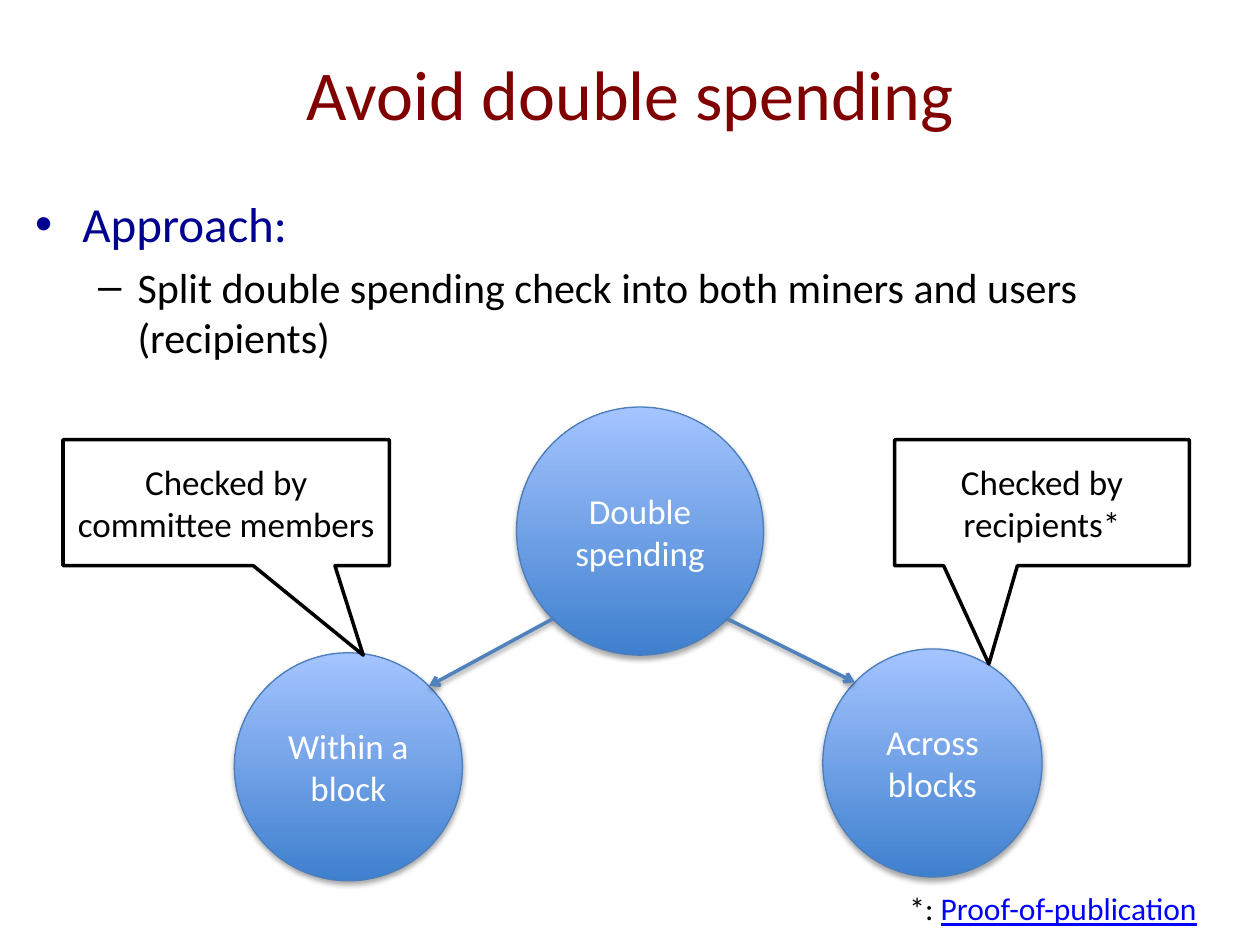
from dataclasses import dataclass
from math import sqrt

from lxml.etree import SubElement
from pptx import Presentation
from pptx.dml.color import RGBColor
from pptx.enum.shapes import MSO_CONNECTOR, MSO_SHAPE
from pptx.enum.text import MSO_ANCHOR, PP_ALIGN
from pptx.oxml.ns import qn
from pptx.util import Pt


@dataclass(frozen=True)
class Theme:
    font: str = "Calibri"
    title_color: str = "800000"
    heading_color: str = "000090"
    ink: str = "000000"
    paper: str = "FFFFFF"
    link: str = "0000FF"
    circle_dark: str = "3F80CE"
    circle_light: str = "A4C4FF"
    circle_line: str = "4B7EBC"
    arrow: str = "4F81BD"
    title_size: float = 40
    heading_size: float = 28
    body_size: float = 24
    label_size: float = 20
    note_size: float = 18


class SlideBuilder:
    def __init__(self, slide, theme):
        self.slide = slide
        self.theme = theme

    def format_font(self, run, size, color, **extra):
        values = {"name": self.theme.font, "size": Pt(size), **extra}
        for name, value in values.items():
            setattr(run.font, name, value)
        run.font.color.rgb = RGBColor.from_string(color)

    def add_text(self, paragraph, text, size, color, **extra):
        run = paragraph.add_run()
        run.text = text
        self.format_font(run, size, color, **extra)

    def place(self, shape, box):
        for name, value in zip(("left", "top", "width", "height"), box):
            setattr(shape, name, Pt(value))

    def add_shadow(self, effects, opacity, distance):
        shadow = SubElement(effects, qn("a:outerShdw"), blurRad=str(Pt(3.1)),
                            dist=str(Pt(distance)), dir="5400000", rotWithShape="0")
        color = SubElement(shadow, qn("a:srgbClr"), val=self.theme.ink)
        SubElement(color, qn("a:alpha"), val=str(opacity * 1000))

    def title(self, text, box):
        shape = self.slide.shapes.title
        self.place(shape, box)
        frame = shape.text_frame
        frame.vertical_anchor = MSO_ANCHOR.MIDDLE
        paragraph = frame.paragraphs[0]
        paragraph.alignment = PP_ALIGN.CENTER
        self.add_text(paragraph, text, self.theme.title_size, self.theme.title_color)

    def text_box(self, box):
        frame = self.slide.shapes.add_textbox(*map(Pt, box)).text_frame
        frame.word_wrap = True
        return frame

    def bullets(self, items, box):
        frame = self.text_box(box)
        for index, (text, level, mark, margin, hang, size, color) in enumerate(items):
            paragraph = frame.add_paragraph() if index else frame.paragraphs[0]
            paragraph.level = level
            paragraph.space_before = Pt(0.2 * size)
            properties = paragraph._p.get_or_add_pPr()
            properties.set("marL", str(Pt(margin)))
            properties.set("indent", str(Pt(-hang)))
            SubElement(properties, qn("a:buFont"), typeface="Arial")
            SubElement(properties, qn("a:buChar"), char=mark)
            self.add_text(paragraph, text, size, color)

    def labelled_shape(self, kind, text, box, color, line_color, line_width):
        shape = self.slide.shapes.add_shape(kind, *map(Pt, box))
        shape.shadow.inherit = False
        shape.line.color.rgb = RGBColor.from_string(line_color)
        shape.line.width = Pt(line_width)
        frame = shape.text_frame
        frame.word_wrap = True
        frame.vertical_anchor = MSO_ANCHOR.MIDDLE
        paragraph = frame.paragraphs[0]
        paragraph.alignment = PP_ALIGN.CENTER
        self.add_text(paragraph, text, self.theme.label_size, color)
        return shape

    def circle(self, text, box):
        theme = self.theme
        shape = self.labelled_shape(MSO_SHAPE.OVAL, text, box, theme.paper,
                                    theme.circle_line, 0.75)
        shape.fill.gradient()
        shape.fill.gradient_angle = 90
        for stop, color in zip(shape.fill.gradient_stops,
                               (theme.circle_dark, theme.circle_light)):
            stop.color.rgb = RGBColor.from_string(color)
        self.add_shadow(shape._element.spPr.find(qn("a:effectLst")), 35, 1.8)

    def callout(self, text, box, tip):
        theme = self.theme
        shape = self.labelled_shape(MSO_SHAPE.RECTANGULAR_CALLOUT, text, box,
                                    theme.ink, theme.ink, 2)
        shape.fill.solid()
        shape.fill.fore_color.rgb = RGBColor.from_string(theme.paper)
        for index, value in enumerate(tip):
            shape.adjustments[index] = value

    def arrow(self, start, end):
        connector = self.slide.shapes.add_connector(
            MSO_CONNECTOR.STRAIGHT, *map(Pt, (*start, *end)))
        connector.line.color.rgb = RGBColor.from_string(self.theme.arrow)
        connector.line.width = Pt(2)
        properties = connector._element.spPr
        SubElement(properties.find(qn("a:ln")), qn("a:tailEnd"), type="arrow")
        self.add_shadow(SubElement(properties, qn("a:effectLst")), 38, 1.6)

    def footnote(self, mark, link_text, box):
        theme = self.theme
        paragraph = self.text_box(box).paragraphs[0]
        self.add_text(paragraph, mark, theme.note_size, theme.ink)
        self.add_text(paragraph, link_text, theme.note_size, theme.link, underline=True)


def diagonal_point(box, across, down):
    """Point on an ellipse at 45 degrees; across and down are -1 or 1."""
    left, top, width, height = box
    reach = sqrt(0.5)
    return (left + width / 2 * (1 + across * reach),
            top + height / 2 * (1 + down * reach))


def main():
    presentation = Presentation()
    presentation.slide_width, presentation.slide_height = Pt(720), Pt(540)
    slide = presentation.slides.add_slide(presentation.slide_layouts[5])
    theme = Theme()
    builder = SlideBuilder(slide, theme)

    # Title and approach
    builder.title("Avoid double spending", (36, 21.6, 648, 62))
    builder.bullets([
        ("Approach:", 0, "•", 27, 27, theme.heading_size, theme.heading_color),
        ("Split double spending check into both miners and users (recipients)",
         1, "–", 58.5, 22.5, theme.body_size, theme.ink),
    ], (13, 107.3, 693.4, 375))

    # Problem and its two halves
    problem = (295.2, 232.6, 141.1, 141.8)
    across_blocks = (470.2, 370.8, 125.3, 130.3)
    within_block = (133.9, 373, 130.3, 130.3)
    builder.circle("Double spending", problem)
    builder.circle("Across blocks", across_blocks)
    builder.circle("Within a block", within_block)
    for target, side in ((within_block, -1), (across_blocks, 1)):
        builder.arrow(diagonal_point(problem, side, 1),
                      diagonal_point(target, -side, -1))

    # Who checks each half
    builder.callout("Checked by committee members", (36, 251.3, 186.5, 72), (0.42, 1.21))
    builder.callout("Checked by recipients*", (511.2, 251.3, 168.5, 72), (-0.18, 1.28))

    # Footnote
    builder.footnote("*: ", "Proof-of-publication", (512.6, 504.7, 195.8, 29))

    presentation.save("out.pptx")


if __name__ == "__main__":
    main()
